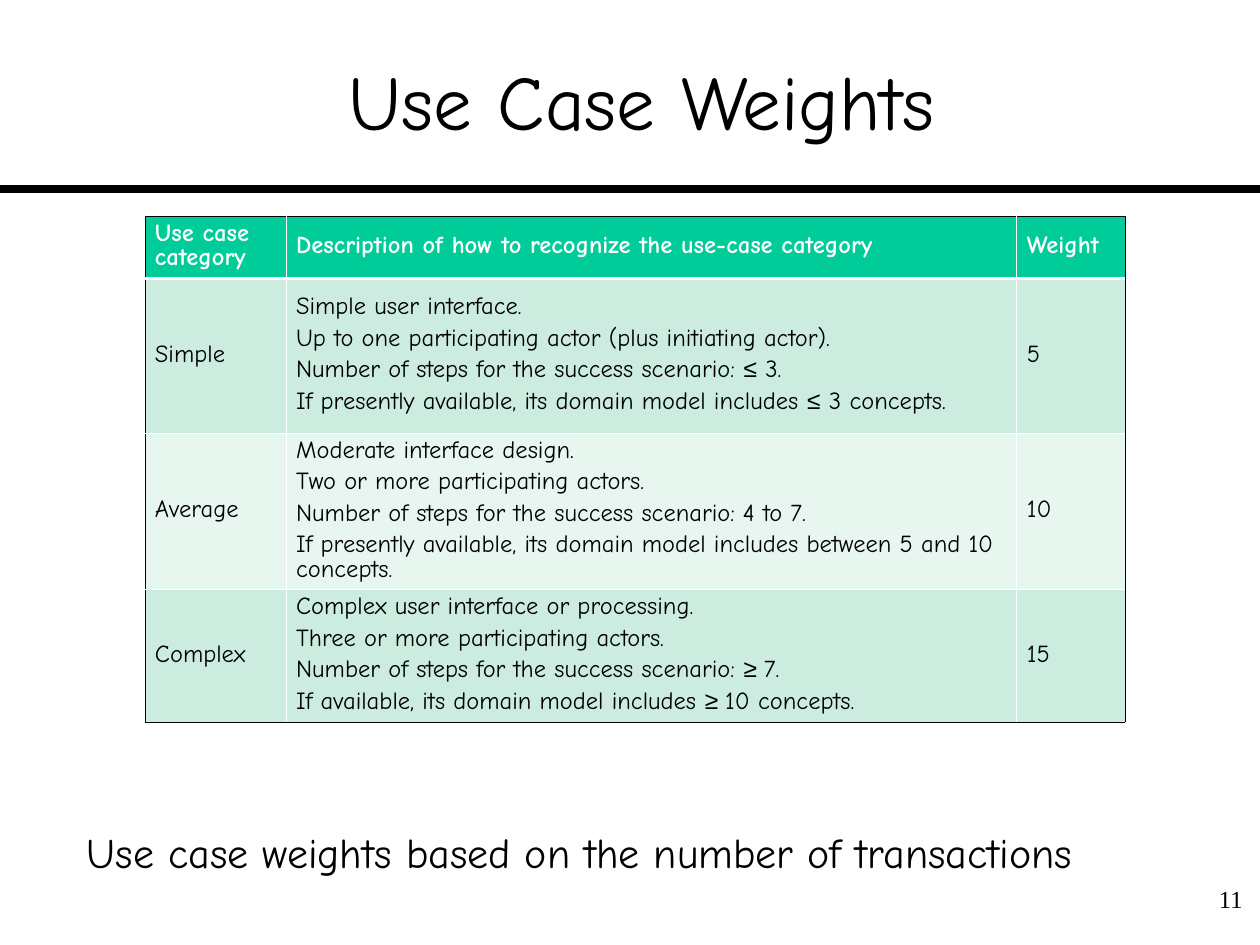
from lxml import etree
from pptx import Presentation
from pptx import util as u
from pptx.dml.color import RGBColor
from pptx.enum import shapes, text
from pptx.oxml import ns

BLACK, WHITE = "000000", "FFFFFF"
GREEN, MINT, PALE = "00CC99", "CBECDE", "E7F6EF"
BODY_FONT, SYMBOL_FONT, NUMBER_FONT = "Comic Neue", "Arial", "Times New Roman"
THIN, THICK = 0.45, 1.47

COLUMN_WIDTHS = [1.12, 5.8, 0.86]
ROW_HEIGHTS = [0.49, 1.23, 1.24, 1.05]
# Bars enclose the parts set in the symbol font
ROWS = [
    ["Use case category",
     "Description of how to recognize the use-case category",
     "Weight"],
    ["Simple",
     "Simple user interface.\n"
     "Up to one participating actor (plus initiating actor).\n"
     "Number of steps for the success scenario: |≤| 3.\n"
     "If presently available, its domain model includes |≤| 3 concepts.",
     "5"],
    ["Average",
     "Moderate interface design.\n"
     "Two or more participating actors.\n"
     "Number of steps for the success scenario: 4 to 7.\n"
     "If presently available, its domain model includes between 5 and 10 concepts.",
     "10"],
    ["Complex",
     "Complex user interface or processing.\n"
     "Three or more participating actors.\n"
     "Number of steps for the success scenario: |≥ |7.\n"
     "If available, its domain model includes |≥ |10 concepts.",
     "15"],
]


def rgb(color):
    return RGBColor.from_string(color)


def write_text(frame, content, size=14, font=BODY_FONT, color=BLACK, bold=False,
               align=text.PP_ALIGN.LEFT, line=None, gap=0):
    """Fill a text frame: one paragraph a line, symbols between bars."""
    for index, line_text in enumerate(content.split("\n")):
        paragraph = frame.add_paragraph() if index else frame.paragraphs[0]
        paragraph.alignment = align
        paragraph.space_before = u.Pt(gap if index else 0)
        paragraph.space_after = u.Pt(gap)
        if line:
            paragraph.line_spacing = u.Pt(line)
        for part, run_text in enumerate(line_text.split("|")):
            run = paragraph.add_run()
            run.text = run_text
            run.font.name = SYMBOL_FONT if part % 2 else font
            run.font.size = u.Pt(size)
            run.font.bold = bold
            run.font.color.rgb = rgb(color)


def set_borders(cell, borders):
    """Draw the cell edges; the lines must come before the fill in the XML."""
    properties = cell._tc.get_or_add_tcPr()
    for index, (side, (color, width)) in enumerate(borders.items()):
        edge = etree.Element(ns.qn("a:ln" + side), w=str(u.Pt(width)))
        fill = etree.SubElement(edge, ns.qn("a:solidFill"))
        etree.SubElement(fill, ns.qn("a:srgbClr"), val=color)
        properties.insert(index, edge)


class SlideBuilder:
    def __init__(self, presentation):
        self.slide = presentation.slides.add_slide(presentation.slide_layouts[5])

    def title(self, content, left, top, width, height):
        shape = self.slide.shapes.title
        shape.left, shape.top = u.Inches(left), u.Inches(top)
        shape.width, shape.height = u.Inches(width), u.Inches(height)
        shape.text_frame.vertical_anchor = text.MSO_ANCHOR.MIDDLE
        write_text(shape.text_frame, content, size=44, align=text.PP_ALIGN.CENTER)

    def rule(self, top, width, weight):
        line = self.slide.shapes.add_connector(
            shapes.MSO_CONNECTOR.STRAIGHT, 0, u.Inches(top), u.Inches(width), u.Inches(top))
        line.line.color.rgb = rgb(BLACK)
        line.line.width = u.Pt(weight)
        etree.SubElement(line._element.spPr, ns.qn("a:effectLst"))

    def label(self, content, left, top, width, height, wrap=True, inset=True,
              anchor=text.MSO_ANCHOR.TOP, **style):
        box = self.slide.shapes.add_textbox(
            u.Inches(left), u.Inches(top), u.Inches(width), u.Inches(height))
        frame = box.text_frame
        frame.word_wrap = wrap
        frame.vertical_anchor = anchor
        if not inset:
            frame.margin_left = frame.margin_right = 0
            frame.margin_top = frame.margin_bottom = 0
        write_text(frame, content, **style)

    def table(self, rows, left, top, widths, heights):
        table = self.slide.shapes.add_table(
            len(rows), len(widths), u.Inches(left), u.Inches(top),
            u.Inches(sum(widths)), u.Inches(sum(heights))).table
        for column, width in zip(table.columns, widths):
            column.width = u.Inches(width)
        last_row, last_column = len(rows) - 1, len(widths) - 1
        for r, (row, height) in enumerate(zip(rows, heights)):
            table.rows[r].height = u.Inches(height)
            header = r == 0
            for c, content in enumerate(row):
                cell = table.cell(r, c)
                cell.margin_left = cell.margin_right = u.Inches(0.08)
                cell.margin_top = cell.margin_bottom = u.Inches(0.05)
                cell.vertical_anchor = text.MSO_ANCHOR.MIDDLE
                cell.fill.solid()
                cell.fill.fore_color.rgb = rgb(GREEN if header else MINT if r % 2 else PALE)
                write_text(cell.text_frame, content, bold=header,
                           color=WHITE if header else BLACK, line=14, gap=2)
                # Black outside, white inside, thicker under the header
                set_borders(cell, {
                    "L": (WHITE if c else BLACK, THIN),
                    "R": (BLACK if c == last_column else WHITE, THIN),
                    "T": (BLACK if header else WHITE, THICK if r == 1 else THIN),
                    "B": (BLACK if r == last_row else WHITE, THICK if header else THIN),
                })


def main():
    presentation = Presentation()
    presentation.slide_width, presentation.slide_height = u.Inches(10), u.Inches(7.5)
    builder = SlideBuilder(presentation)

    # Heading and page number
    builder.rule(1.5, 10, 4.5)
    builder.label("11", 9.45, 6.97, 0.51, 0.5, font=NUMBER_FONT, align=text.PP_ALIGN.RIGHT)
    builder.title("Use Case Weights", 0.35, 0.17, 9.49, 1.25)

    # Weights table and its caption
    builder.label("Use case weights based on the number of transactions",
                  0.69, 6.56, 7.95, 0.4, wrap=False, inset=False,
                  anchor=text.MSO_ANCHOR.MIDDLE, size=24)
    builder.table(ROWS, 1.15, 1.72, COLUMN_WIDTHS, ROW_HEIGHTS)

    presentation.save("out.pptx")


if __name__ == "__main__":
    main()
